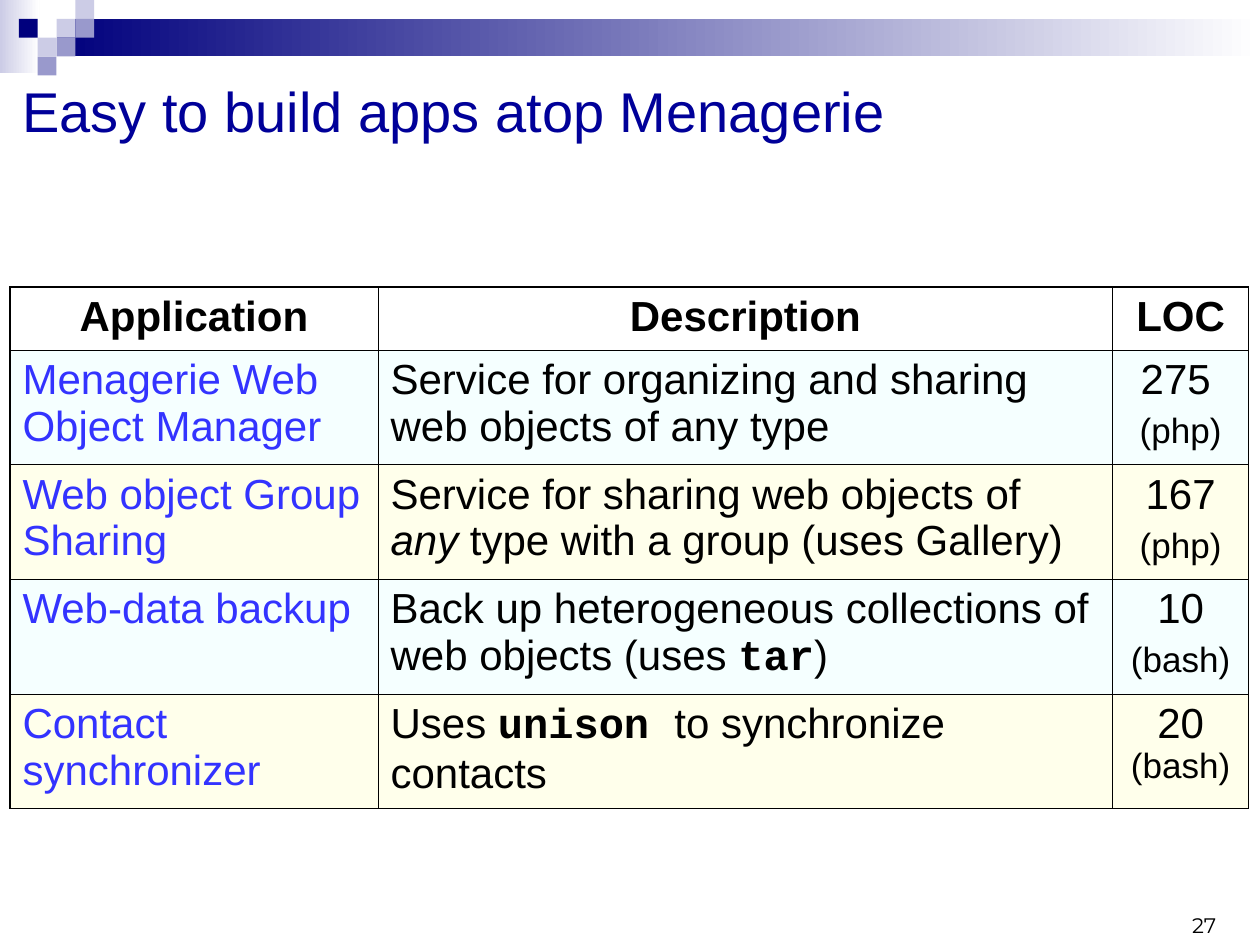
from lxml.etree import SubElement
from pptx import Presentation
from pptx.dml.color import RGBColor as RGB
from pptx.enum.shapes import MSO_SHAPE as Shape
from pptx.enum.text import MSO_ANCHOR as Anchor, MSO_AUTO_SIZE as Fit, PP_ALIGN as Align
from pptx.oxml.ns import qn
from pptx.util import Cm, Pt

BLACK = RGB(0x00, 0x00, 0x00)
WHITE = RGB(0xFF, 0xFF, 0xFF)
NAVY = RGB(0x00, 0x00, 0x7D)
BLUE = RGB(0x00, 0x00, 0x99)
LINK = RGB(0x33, 0x33, 0xFF)
LILAC = RGB(0xCC, 0xCC, 0xE6)
MAUVE = RGB(0x99, 0x99, 0xCC)
MINT = RGB(0xF5, 0xFF, 0xFF)
CREAM = RGB(0xFF, 0xFF, 0xEB)

TILE = 0.38
TILES = [(3, 1, LILAC), (4, 0, LILAC), (4, 1, MAUVE), (2, 2, LILAC),
         (1, 1, NAVY), (3, 2, MAUVE), (2, 3, MAUVE)]

CODE = {"font": "Courier New", "bold": True}
SMALL = {"size": 20}
HEADS = ["Application", "Description", "LOC"]
# Each cell is a list of paragraphs, each paragraph a list of (text, format) runs.
APPS = [
    ("Menagerie Web Object Manager",
     [[("Service for organizing and sharing web objects of any type", {})]],
     [[("275", {}), (" ", SMALL)], [("(php)", SMALL)]]),
    ("Web object Group Sharing",
     [[("Service for sharing web objects of ", {}), ("any", {"italic": True}),
       (" type with a group (uses Gallery)", {})]],
     [[("167", {})], [("(php)", SMALL)]]),
    ("Web-data backup",
     [[("Back up heterogeneous collections of web objects (uses ", {}),
       ("tar", CODE), (")", {})]],
     [[("10", {})], [("(bash)", SMALL)]]),
    ("Contact synchronizer",
     [[("Uses ", {}), ("unison ", CODE), ("to synchronize contacts", {})]],
     [[("20 ", {}), ("(bash)", SMALL)]]),
]


def write(frame, paras, align=Align.LEFT, gap=5, **base):
    """Fill a text frame; a plain string stands for one paragraph of one run."""
    if isinstance(paras, str):
        paras = [[(paras, {})]]
    for i, runs in enumerate(paras):
        para = frame.add_paragraph() if i else frame.paragraphs[0]
        para.alignment = align
        para.space_before = Pt(gap if i else 0)
        for text, extra in runs:
            look = {"font": "Arial", "size": 24, "color": BLACK,
                    "bold": False, "italic": False, **base, **extra}
            run = para.add_run()
            run.text = text
            run.font.name = look["font"]
            run.font.size = Pt(look["size"])
            run.font.bold = look["bold"]
            run.font.italic = look["italic"]
            run.font.color.rgb = look["color"]


def add_rect(slide, x, y, w, h, color, fade=None):
    """Draw a plain rectangle, or one that fades from left to right."""
    rect = slide.shapes.add_shape(Shape.RECTANGLE, Cm(x), Cm(y), Cm(w), Cm(h))
    rect.shadow.inherit = False
    rect.line.fill.background()
    if fade is None:
        rect.fill.solid()
        rect.fill.fore_color.rgb = color
    else:
        rect.fill.gradient()
        rect.fill.gradient_angle = 0
        for stop, tone in zip(rect.fill.gradient_stops, (color, fade)):
            stop.color.rgb = tone


def add_banner(slide):
    add_rect(slide, 0, 0, 0.8, 1.47, LILAC, WHITE)
    add_rect(slide, 3 * TILE, TILE, 25.4 - 3 * TILE, 2 * TILE, NAVY, WHITE)
    for col, row, color in TILES:
        add_rect(slide, col * TILE, row * TILE, TILE, TILE, color)


def add_title(slide, text):
    title = slide.shapes.title
    title.left, title.top = Cm(0.2), Cm(1.27)
    title.width, title.height = Cm(24.77), Cm(1.9)
    frame = title.text_frame
    frame.auto_size = Fit.NONE
    frame.vertical_anchor = Anchor.MIDDLE
    write(frame, text, size=32, color=BLUE)


def set_edges(cell, thick):
    """Rule all four sides, heavier on those named in thick."""
    props = cell._tc.get_or_add_tcPr()
    for i, side in enumerate("LRTB"):
        width = Pt(1.08 if side in thick else 0.45)
        edge = SubElement(props, qn(f"a:ln{side}"), w=str(width))
        fill = SubElement(edge, qn("a:solidFill"))
        SubElement(fill, qn("a:srgbClr"), val=str(BLACK))
        props.remove(edge)
        props.insert(i, edge)


def add_apps(slide):
    widths = [7.42, 14.81, 2.74]
    heights = [1.27] + [2.31] * len(APPS)
    table = slide.shapes.add_table(
        len(heights), len(widths), Cm(0.2), Cm(5.79),
        Cm(sum(widths)), Cm(sum(heights))).table
    table.first_row = table.horz_banding = False
    for col, width in zip(table.columns, widths):
        col.width = Cm(width)
    for row, height in zip(table.rows, heights):
        row.height = Cm(height)

    last = len(APPS)
    for r, texts in enumerate([HEADS, *APPS]):
        for c, text in enumerate(texts):
            cell = table.cell(r, c)
            if r == 0:
                cell.fill.background()
            else:
                cell.fill.solid()
                cell.fill.fore_color.rgb = MINT if r % 2 else CREAM
            thick = ("L" * (c == 0) + "R" * (c == 2)
                     + "T" * (r == 0) + "B" * (r == last))
            set_edges(cell, thick)
            write(cell.text_frame, text,
                  align=Align.CENTER if r == 0 or c == 2 else Align.LEFT,
                  bold=r == 0, color=LINK if r and c == 0 else BLACK)


def add_number(slide, text):
    box = slide.shapes.add_textbox(Cm(18.85), Cm(18.21), Cm(5.92), Cm(0.81))
    frame = box.text_frame
    frame.word_wrap = True
    frame.vertical_anchor = Anchor.BOTTOM
    write(frame, text, align=Align.RIGHT, font="Montserrat", size=12)


def main():
    deck = Presentation()
    deck.slide_width, deck.slide_height = Cm(25.4), Cm(19.05)
    slide = deck.slides.add_slide(deck.slide_layouts[5])
    add_banner(slide)
    add_title(slide, "Easy to build apps atop Menagerie")
    add_apps(slide)
    add_number(slide, "27")
    deck.save("out.pptx")


if __name__ == "__main__":
    main()
